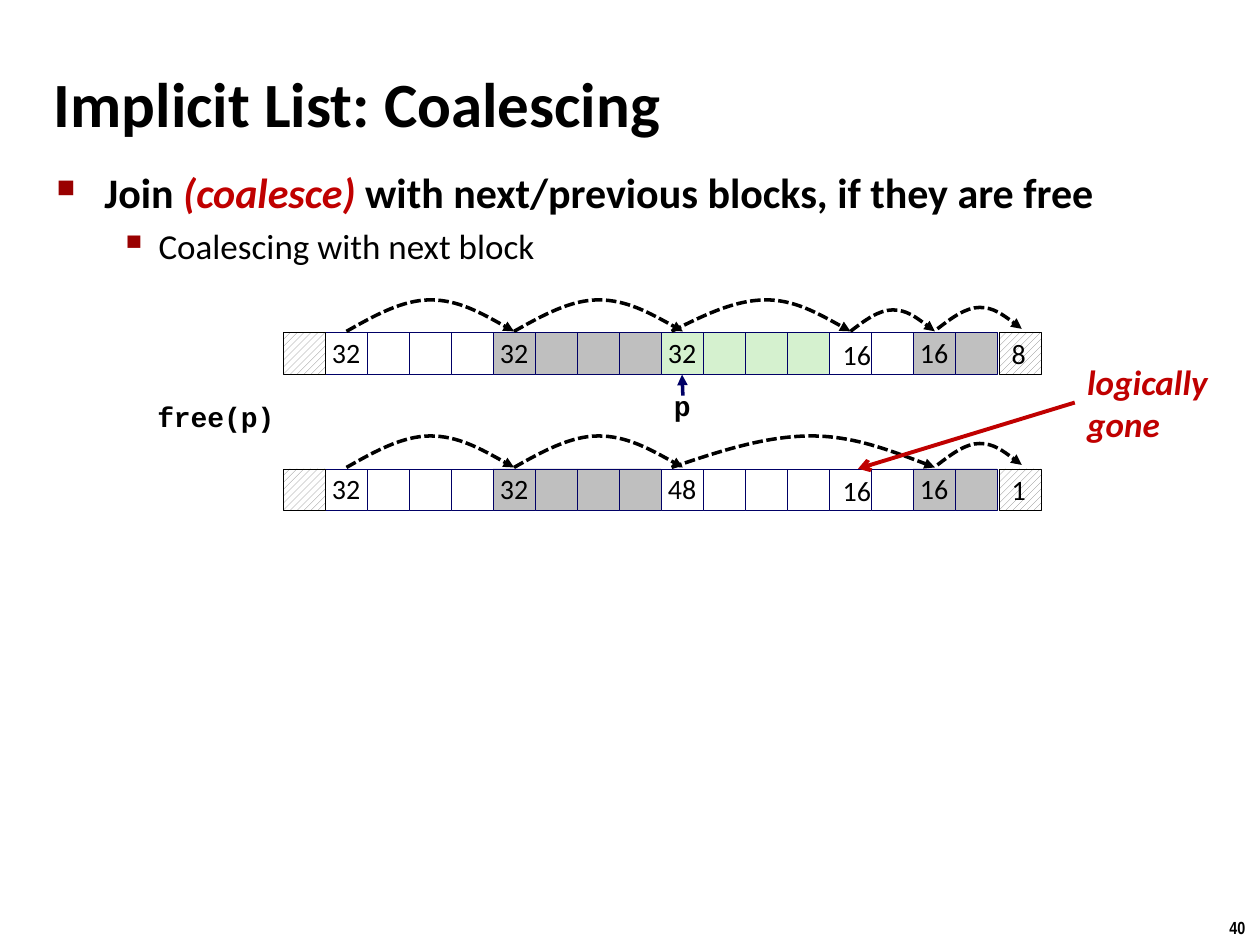
from dataclasses import dataclass
from typing import Any, Optional

import lxml.etree
import pptx
import pptx.dml.color
import pptx.enum.dml
import pptx.enum.shapes
import pptx.enum.text
import pptx.oxml
import pptx.oxml.ns
import pptx.util

Inches, Pt = pptx.util.Inches, pptx.util.Pt
qn = pptx.oxml.ns.qn
ALIGN = pptx.enum.text.PP_ALIGN
MIDDLE = pptx.enum.text.MSO_ANCHOR.MIDDLE
RECT = pptx.enum.shapes.MSO_SHAPE.RECTANGLE
LINE = pptx.enum.shapes.MSO_CONNECTOR.STRAIGHT

HUES = {"black": "000000", "white": "FFFFFF", "red": "C00000", "navy": "000066",
        "gray": "BFBFBF", "silver": "C0C0C0", "green": "D5F1CF",
        "hatch": "808080", "bullet": "990000"}
CELL = 1 / 3    # side of one word of the heap
LEFT = 2.58     # left edge of the first block


@dataclass
class Block:
    size: int       # number of cells
    fill: str
    label: str = ""


@dataclass
class Arc:
    start: float
    end: float
    rise: float = 0.25
    lift: float = 0.01          # gap between the arc's foot and the row
    mid: Optional[float] = None


@dataclass
class Row:
    top: float
    blocks: list[Block]
    arcs: list[Arc]
    last: str       # label of the end cell


@dataclass
class Note:
    left: float
    top: float
    width: float
    height: float
    lines: list[str]
    size: float
    face: str = "Calibri"
    hue: str = "black"
    bold: bool = False
    slant: bool = False
    space: float = 1.0


HEAD = [Block(4, "white", "32"), Block(4, "gray", "32")]
TAIL = Block(2, "silver", "16")
HOPS = [Arc(2.75, 4.08), Arc(4.08, 5.42)]
FINAL = Arc(7.44, 8.11, 0.17, 0.03)
ROWS = [
    Row(2.64, HEAD + [Block(4, "green", "32"), Block(2, "white"), TAIL],
        HOPS + [Arc(5.33, 6.75, mid=6.08), Arc(6.75, 7.42, 0.17), FINAL], "8"),
    Row(3.72, HEAD + [Block(6, "white", "48"), TAIL],
        HOPS + [Arc(5.33, 7.42, mid=6.44), FINAL], "1"),
]
TITLE = Note(0.33, 0.5, 7.4, 0.63, ["Implicit List: Coalescing"], 36, bold=True)
CODE = [Note(1.15, 3.14, 1.14, 0.36, ["free(p)"], 16, "Courier New", bold=True, space=0.94),
        Note(5.25, 3.06, 0.33, 0.36, ["p"], 16, "Courier New", bold=True, space=0.94)]
GONE = Note(8.53, 2.81, 1.16, 0.77, ["logically", "gone"], 20, hue="red", bold=True, slant=True)
PAGE = Note(9.66, 7.23, 0.34, 0.27, ["40"], 10, "Arial Narrow", bold=True)


def color(hue: str) -> pptx.dml.color.RGBColor:
    return pptx.dml.color.RGBColor.from_string(HUES[hue])


def style(font: Any, size: float, face: str = "Calibri", hue: str = "black",
          bold: bool = False, slant: bool = False) -> None:
    font.size, font.name, font.bold, font.italic = Pt(size), face, bold, slant
    font.color.rgb = color(hue)


def stroke(shape: Any, hue: str, width: float, tip: str = "") -> None:
    shape.line.color.rgb = color(hue)
    shape.line.width = Pt(width)
    if tip:
        lxml.etree.SubElement(shape.line._get_or_add_ln(), qn("a:tailEnd"), type=tip)


def write(slide: Any, note: Note) -> Any:
    box = slide.shapes.add_textbox(Inches(note.left), Inches(note.top),
                                   Inches(note.width), Inches(note.height))
    frame = box.text_frame
    frame.word_wrap = False
    frame.text = "\n".join(note.lines)
    for para in frame.paragraphs:
        para.line_spacing = note.space
        style(para.font, note.size, note.face, note.hue, note.bold, note.slant)
    return box


def cell(slide: Any, left: float, top: float, fill: str, label: str = "") -> Any:
    box = slide.shapes.add_shape(RECT, Inches(left), Inches(top), Inches(CELL), Inches(CELL))
    box.shadow.inherit = False
    hatch = fill == "hatch"
    if hatch:
        box.fill.patterned()
        box.fill.pattern = pptx.enum.dml.MSO_PATTERN.WIDE_UPWARD_DIAGONAL
        box.fill.fore_color.rgb = color("hatch")
        box.fill.back_color.rgb = color("white")
    else:
        box.fill.solid()
        box.fill.fore_color.rgb = color(fill)
    stroke(box, "black" if hatch else "navy", 0.25)
    if label:
        frame = box.text_frame
        frame.word_wrap, frame.vertical_anchor = False, MIDDLE
        frame.text = label
        para = frame.paragraphs[0]
        para.alignment = ALIGN.LEFT if hatch else ALIGN.CENTER
        para.line_spacing = 1.0 if hatch else 0.98
        style(para.font, 16)
    return box


def curve(slide: Any, arc: Arc, top: float) -> None:
    foot = top - arc.lift
    peak = foot - arc.rise
    half = foot - arc.rise / 2
    mid = arc.mid or (arc.start + arc.end) / 2
    left, right = (mid - arc.start) / 3, (arc.end - mid) / 3
    spots = [(arc.start + left, half), (mid - left, peak), (mid, peak),
             (mid + right, peak), (arc.end - right, half), (arc.end, foot)]
    pen = slide.shapes.build_freeform(Inches(arc.start), Inches(foot))
    pen.add_line_segments([(Inches(x), Inches(y)) for x, y in spots], close=False)
    shape = pen.convert_to_shape()
    # Turn each three line segments into one Bezier segment
    steps = list(shape._element.iter(qn("a:lnTo")))
    for first in range(0, len(steps), 3):
        bend = lxml.etree.Element(qn("a:cubicBezTo"))
        steps[first].addprevious(bend)
        for step in steps[first:first + 3]:
            bend.append(step[0])
            step.getparent().remove(step)
    shape.shadow.inherit = False
    shape.fill.background()
    shape.line.dash_style = pptx.enum.dml.MSO_LINE.SQUARE_DOT
    stroke(shape, "black", 2, "triangle")


def arrow(slide: Any, start: tuple, end: tuple, hue: str, width: float, tip: str) -> Any:
    line = slide.shapes.add_connector(LINE, *map(Inches, start + end))
    lxml.etree.SubElement(line._element.spPr, qn("a:effectLst"))
    stroke(line, hue, width)
    lxml.etree.SubElement(line.line._get_or_add_ln(), qn("a:tailEnd"), type=tip)
    return line


def draw(slide: Any, row: Row) -> list:
    """Draw one heap row and return its first cell of each block."""
    heads, left = [], LEFT
    for block in row.blocks:
        for k in range(block.size):
            box = cell(slide, left, row.top, block.fill, "" if k else block.label)
            if k == 0:
                heads.append(box)
            left += CELL
    cell(slide, 2.25, row.top, "hatch")
    cell(slide, 7.93, row.top, "hatch", row.last)
    write(slide, Note(6.59, row.top, 0.43, 0.37, ["16"], 16, space=0.98))
    for arc in row.arcs:
        curve(slide, arc, row.top)
    return heads


def bullet(para: Any, mark: str, scale: int, margin: float, hang: float) -> None:
    props = para._p.get_or_add_pPr()
    props.set("marL", str(Inches(margin)))
    props.set("indent", str(-Inches(hang)))
    tint = lxml.etree.SubElement(props, qn("a:buClr"))
    lxml.etree.SubElement(tint, qn("a:srgbClr"), val=HUES["bullet"])
    lxml.etree.SubElement(props, qn("a:buSzPct"), val=str(scale * 1000))
    lxml.etree.SubElement(props, qn("a:buChar"), char=mark)


def points(slide: Any) -> None:
    box = slide.shapes.add_textbox(Inches(0.35), Inches(1.34), Inches(9.09), Inches(1))
    frame = box.text_frame
    frame.word_wrap = True
    main = frame.paragraphs[0]
    bullet(main, "■", 60, 0.38, 0.38)
    main.line_spacing = 0.83
    for text, hue in (("Join ", "black"), ("(coalesce) ", "red"),
                      ("with next/previous blocks, if they are free", "black")):
        run = main.add_run()
        run.text = text
        style(run.font, 24, hue=hue, bold=True, slant=hue == "red")
    sub = frame.add_paragraph()
    sub.text, sub.level = "Coalescing with next block", 1
    bullet(sub, "▪", 110, 0.81, 0.31)
    sub.line_spacing, sub.space_before = 0.88, Pt(7.5)
    style(sub.font, 20)


def main() -> None:
    deck = pptx.Presentation()
    deck.slide_width, deck.slide_height = Inches(10), Inches(7.5)
    slide = deck.slides.add_slide(deck.slide_layouts[6])

    # Heading and bullet points
    write(slide, TITLE).text_frame.vertical_anchor = MIDDLE
    points(slide)

    # Heap before and after the call
    heads = [draw(slide, row) for row in ROWS]

    # Call, pointer and remark
    for note in CODE:
        write(slide, note)
    arrow(slide, (5.42, 3.14), (5.42, 2.97), "navy", 2, "triangle").end_connect(heads[0][2], 2)
    gone = write(slide, GONE)
    arrow(slide, (8.53, 3.2), (6.81, 3.72), "red", 2.25, "arrow").begin_connect(gone, 1)

    write(slide, PAGE)
    deck.save("out.pptx")


if __name__ == "__main__":
    main()
